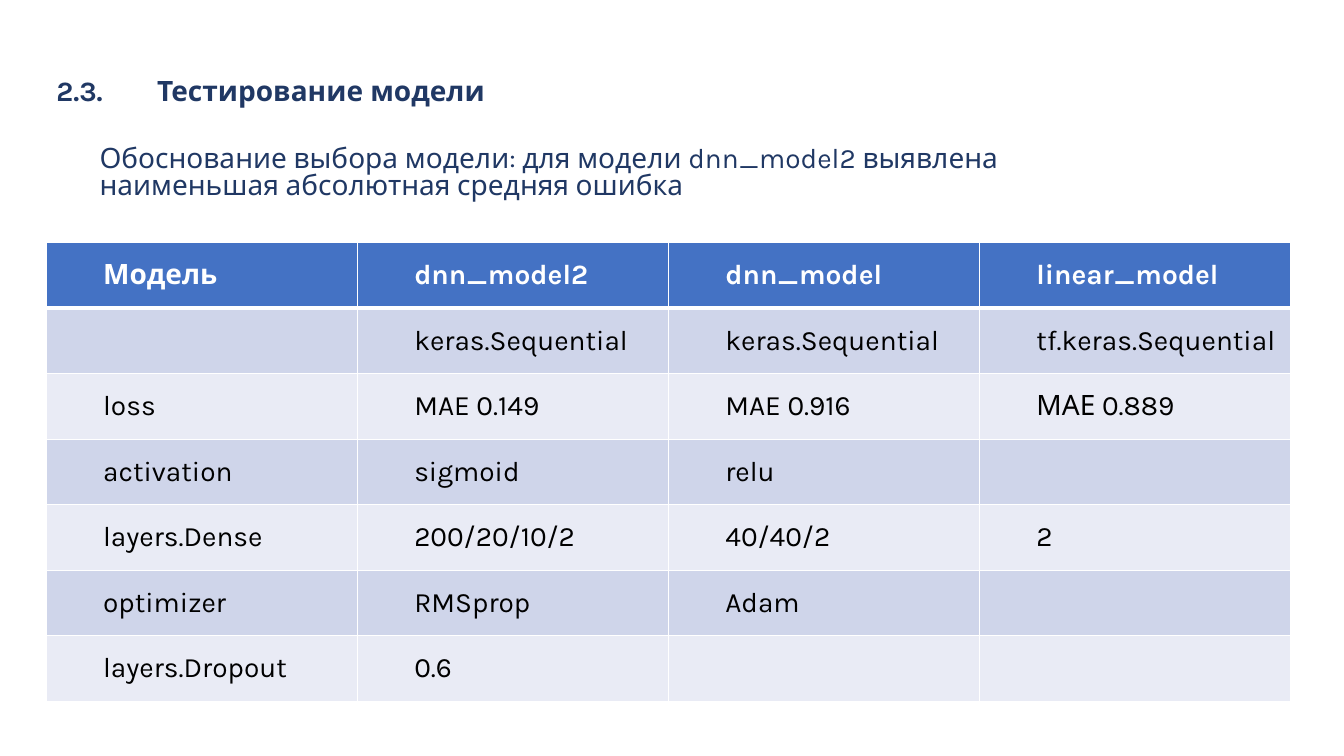
import pptx
import pptx.dml.color
import pptx.enum.text
import pptx.oxml
import pptx.oxml.ns
import pptx.util

Cm = pptx.util.Cm
Pt = pptx.util.Pt

COLORS = {
    "navy": "203864",
    "header": "4472C4",
    "band_dark": "CFD5EA",
    "band_light": "E9EBF5",
    "white": "FFFFFF",
    "black": "000000",
}
BASE_FONT = {"name": "Karla", "size": Pt(20)}
CELL_MARGINS = {
    "margin_left": Cm(0.18),
    "margin_right": Cm(0.18),
    "margin_top": 0,
    "margin_bottom": 0,
}
MODELS = [
    ["Модель", "dnn_model2", "dnn_model", "linear_model"],
    ["", "keras.Sequential", "keras.Sequential", "tf.keras.Sequential"],
    ["loss", "MAE 0.149", "MAE 0.916", "МАЕ 0.889"],
    ["activation", "sigmoid", "relu", ""],
    ["layers.Dense", "200/20/10/2", "40/40/2", "2"],
    ["optimizer", "RMSprop", "Adam", ""],
    ["layers.Dropout", "0.6", "", ""],
]


def rgb(color):
    return pptx.dml.color.RGBColor.from_string(COLORS[color])


def apply(target, values):
    for name, value in values.items():
        setattr(target, name, value)


def write(paragraph, text, color, bold=False, **spacing):
    apply(paragraph, spacing)
    run = paragraph.add_run()
    run.text = text
    apply(run.font, {**BASE_FONT, "bold": bold})
    run.font.color.rgb = rgb(color)


def add_text(slide, left, top, width, height, anchor):
    frame = slide.shapes.add_textbox(Cm(left), Cm(top), Cm(width), Cm(height)).text_frame
    apply(frame, {"word_wrap": True, "vertical_anchor": anchor})
    return frame.paragraphs[0]


def set_tab_stop(paragraph, position):
    tabs = pptx.oxml.parse_xml(
        f'<a:tabLst {pptx.oxml.ns.nsdecls("a")}><a:tab pos="{position}" algn="l"/></a:tabLst>'
    )
    paragraph._p.get_or_add_pPr().append(tabs)


def set_borders(cell, bottom_width):
    # Borders come before the fill in the cell properties
    properties = cell._tc.get_or_add_tcPr()
    widths = {"lnL": 1, "lnR": 1, "lnT": 1, "lnB": bottom_width}
    for index, (side, width) in enumerate(widths.items()):
        border = pptx.oxml.parse_xml(
            f'<a:{side} {pptx.oxml.ns.nsdecls("a")} w="{Pt(width)}"><a:solidFill>'
            f'<a:srgbClr val="{COLORS["white"]}"/></a:solidFill></a:{side}>'
        )
        properties.insert(index, border)


def fill_cell(cell, text, is_header, fill):
    apply(cell, CELL_MARGINS)
    cell.fill.solid()
    cell.fill.fore_color.rgb = rgb(fill)
    set_borders(cell, 3 if is_header else 1)
    if text:
        paragraph = cell.text_frame.paragraphs[0]
        write(paragraph, text, "white" if is_header else "black", is_header, line_spacing=1.5)
        paragraph._p.get_or_add_pPr().set("indent", str(Cm(1.25)))


def add_model_table(slide, left, top, column_width, row_height):
    columns = len(MODELS[0])
    table = slide.shapes.add_table(
        len(MODELS), columns, Cm(left), Cm(top),
        Cm(column_width * columns), Cm(row_height * len(MODELS)),
    ).table
    for column in table.columns:
        column.width = Cm(column_width)
    for number, values in enumerate(MODELS):
        table.rows[number].height = Cm(row_height)
        band = "band_dark" if number % 2 else "band_light"
        fill = band if number else "header"
        for cell, text in zip(table.rows[number].cells, values):
            fill_cell(cell, text, number == 0, fill)


def main():
    presentation = pptx.Presentation()
    apply(presentation, {"slide_width": Cm(33.87), "slide_height": Cm(19.05)})
    slide = presentation.slides.add_slide(presentation.slide_layouts[6])
    anchors = pptx.enum.text.MSO_ANCHOR

    # Section heading
    heading = add_text(slide, 1.17, 0.58, 25.4, 2.24, anchors.BOTTOM)
    write(heading, "2.3.\tТестирование модели", "navy", True, line_spacing=1.15)
    set_tab_stop(heading, Cm(2.54))

    # Reason for the choice
    reason = add_text(slide, 2.26, 3.58, 25.4, 1.75, anchors.TOP)
    write(
        reason,
        "Обоснование выбора модели: для модели dnn_model2 выявлена "
        "наименьшая абсолютная средняя ошибка",
        "navy", line_spacing=0.8, space_before=Pt(10),
    )

    # Model comparison
    add_model_table(slide, 1.17, 6.12, 7.84, 1.65)

    presentation.save("out.pptx")


if __name__ == "__main__":
    main()
